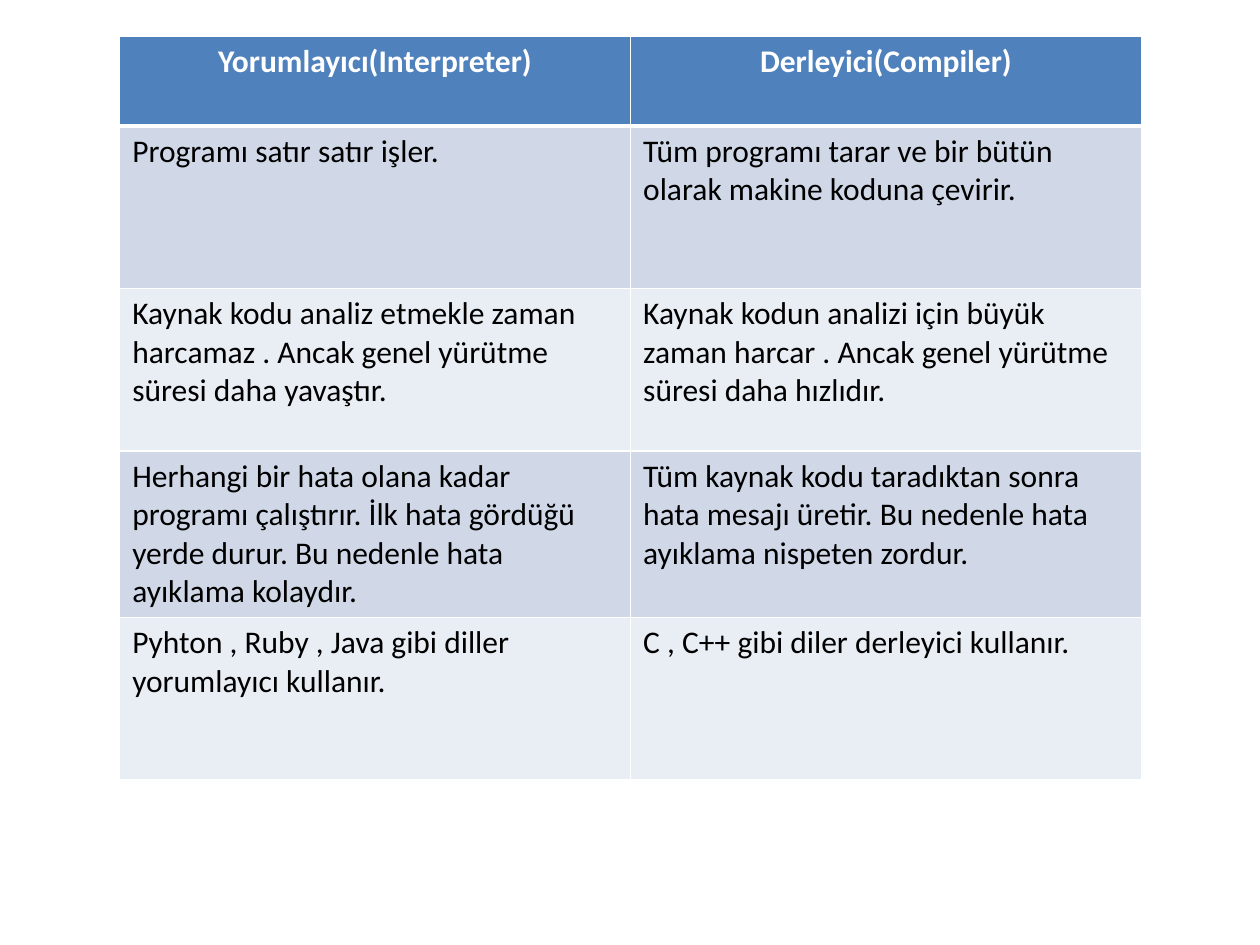
"""Build a slide comparing interpreters and compilers in a table."""
from lxml.etree import SubElement
from pptx import Presentation
from pptx.dml.color import RGBColor
from pptx.enum.text import PP_ALIGN
from pptx.oxml.ns import qn
from pptx.util import Inches, Pt

WHITE = RGBColor(0xFF, 0xFF, 0xFF)
BLACK = RGBColor(0x00, 0x00, 0x00)
HEADER_BLUE = RGBColor(0x4F, 0x81, 0xBD)
BAND_DARK = RGBColor(0xD0, 0xD8, 0xE8)
BAND_LIGHT = RGBColor(0xE9, 0xED, 0xF4)

COMPARISON = [
    ("Yorumlayıcı(Interpreter)", "Derleyici(Compiler)"),
    ("Programı satır satır işler.",
     "Tüm programı tarar ve bir bütün olarak makine koduna çevirir."),
    ("Kaynak kodu analiz etmekle zaman harcamaz . Ancak genel yürütme süresi daha yavaştır.",
     "Kaynak kodun analizi için büyük zaman harcar . Ancak genel yürütme süresi daha hızlıdır."),
    ("Herhangi bir hata olana kadar programı çalıştırır. İlk hata gördüğü yerde durur. "
     "Bu nedenle hata ayıklama kolaydır.",
     "Tüm kaynak kodu taradıktan sonra hata mesajı üretir. "
     "Bu nedenle hata ayıklama nispeten zordur."),
    ("Pyhton , Ruby , Java gibi diller yorumlayıcı kullanır.",
     "C , C++ gibi diler derleyici kullanır."),
]
HEADER_HEIGHT = 0.71
BODY_HEIGHT = 1.29
COLUMN_WIDTH = 4.055


def set_borders(cell, top, bottom):
    """Draw white borders, with the top and bottom widths in points."""
    properties = cell._tc.get_or_add_tcPr()
    for side, width in (("L", 1), ("R", 1), ("T", top), ("B", bottom)):
        line = SubElement(properties, qn(f"a:ln{side}"), w=str(Pt(width)))
        fill = SubElement(line, qn("a:solidFill"))
        SubElement(fill, qn("a:srgbClr"), val=str(WHITE))


def fill_cell(cell, text, row):
    """Write and style one cell according to its row."""
    is_header = row == 0
    set_borders(cell, top=3 if row == 1 else 1, bottom=3 if is_header else 1)
    cell.fill.solid()
    band = BAND_DARK if row % 2 else BAND_LIGHT
    cell.fill.fore_color.rgb = HEADER_BLUE if is_header else band
    cell.text = text
    paragraph = cell.text_frame.paragraphs[0]
    paragraph.alignment = PP_ALIGN.CENTER if is_header else PP_ALIGN.LEFT
    font = paragraph.font
    font.name = "Calibri"
    font.size = Pt(18)
    font.bold = is_header
    font.color.rgb = WHITE if is_header else BLACK


def add_comparison(slide):
    """Add the comparison table."""
    row_heights = [HEADER_HEIGHT] + [BODY_HEIGHT] * (len(COMPARISON) - 1)
    comparison = slide.shapes.add_table(
        len(COMPARISON), 2, Inches(0.95), Inches(0.29),
        Inches(2 * COLUMN_WIDTH), Inches(sum(row_heights))).table
    for column in comparison.columns:
        column.width = Inches(COLUMN_WIDTH)
    for row, (texts, height) in enumerate(zip(COMPARISON, row_heights)):
        comparison.rows[row].height = Inches(height)
        for column, text in enumerate(texts):
            fill_cell(comparison.cell(row, column), text, row)


def main():
    """Create and save the presentation."""
    presentation = Presentation()
    presentation.slide_width = Inches(10)
    presentation.slide_height = Inches(7.5)
    slide = presentation.slides.add_slide(presentation.slide_layouts[6])
    add_comparison(slide)
    presentation.save("out.pptx")


if __name__ == "__main__":
    main()
